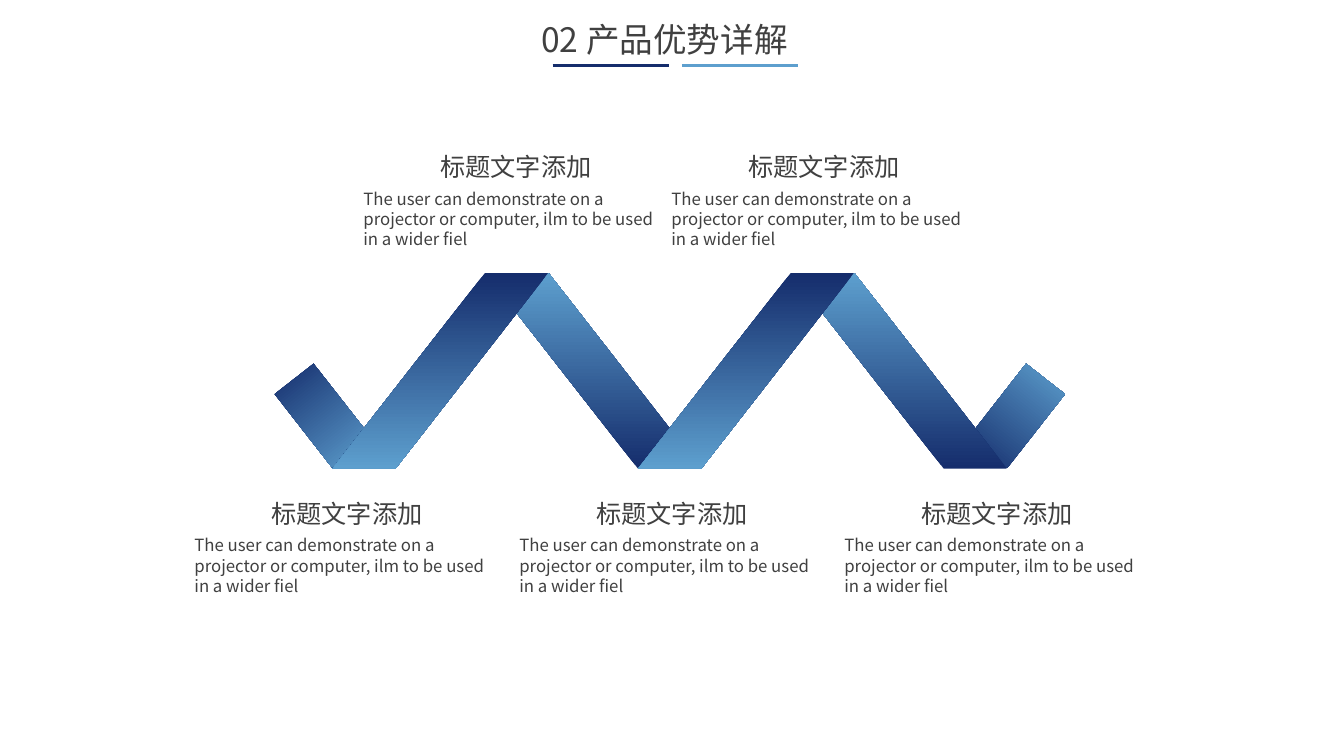
from lxml import etree
from pptx import Presentation
from pptx.dml.color import RGBColor
from pptx.enum import shapes, text
from pptx.oxml import ns
from pptx.util import Pt

FONT = "Noto Sans CJK SC"
NAVY, SKY, GREY = "152D6C", "5D9FCE", "404040"
HEADING = "标题文字添加"
BODY = "The user can demonstrate on a projector or computer, ilm to be used in a wider fiel"
RECT = shapes.MSO_SHAPE.RECTANGLE
SLANT = shapes.MSO_SHAPE.PARALLELOGRAM


def rgb(value):
    return RGBColor.from_string(value)


def add_text(s, x, y, w, h, content, size, align=None):
    tf = s.shapes.add_textbox(Pt(x), Pt(y), Pt(w), Pt(h)).text_frame
    tf.word_wrap = True
    tf.auto_size = text.MSO_AUTO_SIZE.SHAPE_TO_FIT_TEXT
    p = tf.paragraphs[0]
    p.text = content
    p.alignment = align
    r = p.runs[0]
    r.font.size = Pt(size)
    r.font.name = FONT
    r.font.color.rgb = rgb(GREY)
    # East Asian typeface for the Chinese characters
    ea = etree.SubElement(r.font._element, ns.qn("a:ea"))
    ea.set("typeface", FONT)


def add_line(s, x, y, w, color):
    c = s.shapes.add_connector(shapes.MSO_CONNECTOR.STRAIGHT,
                               Pt(x), Pt(y), Pt(x + w), Pt(y))
    c.line.color.rgb = rgb(color)
    c.line.width = Pt(2)
    etree.SubElement(c._element.spPr, ns.qn("a:effectLst"))


def add_band(s, kind, x, y, w, h, flip=False, rotation=0):
    sp = s.shapes.add_shape(kind, Pt(x), Pt(y), Pt(w), Pt(h))
    sp.shadow.inherit = False
    sp.line.fill.background()
    sp.rotation = rotation
    if kind == SLANT:
        sp.adjustments[0] = 0.78
    if flip:
        sp._element.spPr.get_or_add_xfrm().set("flipV", "1")
    sp.fill.gradient()
    sp.fill.gradient_angle = 270
    for stop, color in zip(sp.fill.gradient_stops, (NAVY, SKY)):
        stop.color.rgb = rgb(color)


def add_caption(s, x, y):
    add_text(s, x + 43, y, 146, 28.8, HEADING, 18, text.PP_ALIGN.CENTER)
    add_text(s, x, y + 26.6, 232, 51, BODY, 12)


def main():
    prs = Presentation()
    prs.slide_width, prs.slide_height = Pt(960), Pt(540)
    s = prs.slides.add_slide(prs.slide_layouts[6])

    # Zigzag ribbon: two end pieces, then falling and rising bands
    add_band(s, RECT, 708.6, 263.5, 35.3, 67, flip=True, rotation=38)
    add_band(s, RECT, 213.1, 263.5, 35.3, 67, rotation=322)
    for x in (237.4, 455.8):
        add_band(s, SLANT, x + 109.4, 195.1, 154, 139.7, flip=True)
        add_band(s, SLANT, x, 195.1, 154, 139.7)

    # Captions below and above the ribbon
    for i in range(3):
        add_caption(s, 131.8 + 232.1 * i, 352.1)
    for i in range(2):
        add_caption(s, 252.5 + 220 * i, 104.7)

    # Slide title with its two-coloured rule
    add_text(s, 379.5, 10, 207.4, 36, "02 产品优势详解", 24, text.PP_ALIGN.JUSTIFY)
    for x, color in ((394.8, NAVY), (487, SKY)):
        add_line(s, x, 46.8, 82.8, color)

    prs.save("out.pptx")


if __name__ == "__main__":
    main()
